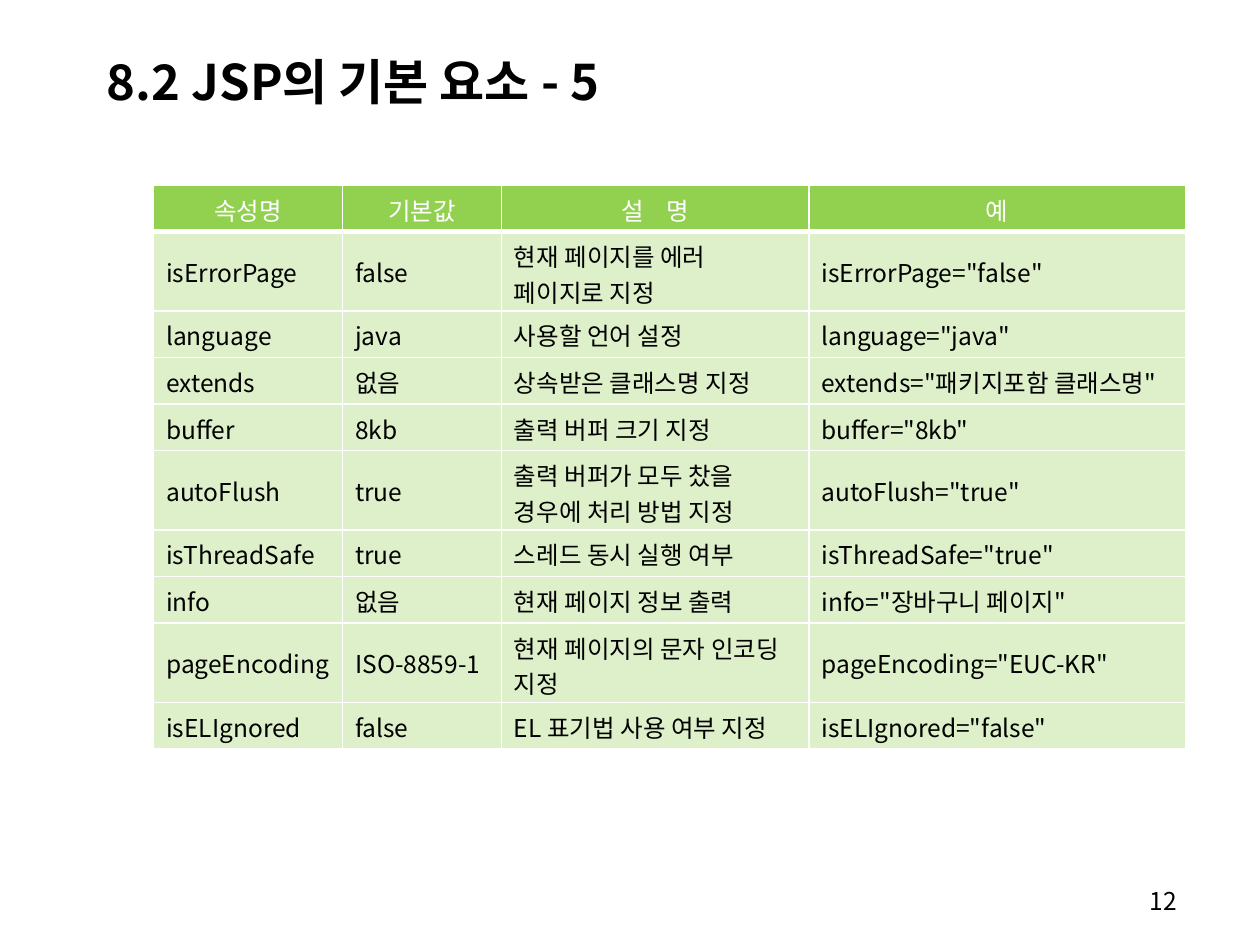
from dataclasses import dataclass

from pptx import Presentation
from pptx.dml.color import RGBColor
from pptx.enum.text import MSO_ANCHOR, PP_ALIGN
from pptx.oxml.ns import qn
from pptx.util import Pt
from lxml.etree import SubElement


@dataclass(frozen=True)
class Theme:
    font: str = "Noto Sans CJK KR"
    ink: str = "000000"
    paper: str = "FFFFFF"
    green: str = "92D050"
    tint: int = 30
    title: int = 28
    body: int = 14


THEME = Theme()
WIDTHS = [108, 90.7, 175.7, 215.3]
SHORT, TALL = 26.6, 45.4
TALLS = {1, 5, 8}
HANG = 7.2
ROWS = [
    ("속성명", "기본값", "설 명", "예"),
    ("isErrorPage", "false", "현재 페이지를 에러 페이지로 지정", 'isErrorPage="false"'),
    ("language", "java", "사용할 언어 설정", 'language="java"'),
    ("extends", "없음", "상속받은 클래스명 지정", 'extends="패키지포함 클래스명"'),
    ("buffer", "8kb", "출력 버퍼 크기 지정", 'buffer="8kb"'),
    ("autoFlush", "true", "출력 버퍼가 모두 찼을 경우에 처리 방법 지정", 'autoFlush="true"'),
    ("isThreadSafe", "true", "스레드 동시 실행 여부", 'isThreadSafe="true"'),
    ("info", "없음", "현재 페이지 정보 출력", 'info="장바구니 페이지"'),
    ("pageEncoding", "ISO-8859-1", "현재 페이지의 문자 인코딩 지정", 'pageEncoding="EUC-KR"'),
    ("isELIgnored", "false", "EL 표기법 사용 여부 지정", 'isELIgnored="false"'),
]


def add_run(para, text, size=THEME.body, color=THEME.ink, bold=False):
    run = para.add_run()
    run.text = text
    font = run.font
    font.name, font.size, font.bold = THEME.font, Pt(size), bold
    font.color.rgb = RGBColor.from_string(color)
    props = run._r.get_or_add_rPr()
    SubElement(props, qn("a:ea"), typeface=THEME.font)
    return props


def add_text(slide, text, box, anchor, align, **style):
    frame = slide.shapes.add_textbox(*map(Pt, box)).text_frame
    frame.word_wrap = True
    frame.vertical_anchor = anchor
    para = frame.paragraphs[0]
    para.alignment = align
    add_run(para, text, **style)


def add_edges(cell, base):
    props = cell._tc.get_or_add_tcPr()
    for side, width in zip("LRTB", (1, 1, 1, base)):
        line = SubElement(props, qn(f"a:ln{side}"), w=str(Pt(width)))
        fill = SubElement(line, qn("a:solidFill"))
        SubElement(fill, qn("a:srgbClr"), val=THEME.paper)


def fill_cell(cell, head):
    add_edges(cell, 3 if head else 1)
    cell.vertical_anchor = MSO_ANCHOR.MIDDLE
    cell.fill.solid()
    cell.fill.fore_color.rgb = RGBColor.from_string(THEME.green)
    if not head:
        color = cell._tc.tcPr.find(".//" + qn("a:solidFill") + "[last()]/..")
        color = cell._tc.tcPr.find(qn("a:solidFill")).find(qn("a:srgbClr"))
        SubElement(color, qn("a:alpha"), val=str(THEME.tint * 1000))


def add_head(para, text):
    para.alignment = PP_ALIGN.CENTER
    for part in filter(None, text.partition(" ")):
        props = add_run(para, part, color=THEME.paper)
        if part == " ":
            props.set("spc", "940")


def add_body(para, text, hang):
    if hang:
        props = para._p.get_or_add_pPr()
        props.set("marL", str(Pt(HANG)))
        props.set("indent", str(-Pt(HANG)))
    add_run(para, text)


def add_grid(slide):
    highs = [TALL if row in TALLS else SHORT for row in range(len(ROWS))]
    box = map(Pt, (87.8, 105.8, sum(WIDTHS), sum(highs)))
    table = slide.shapes.add_table(len(ROWS), len(WIDTHS), *box).table
    table.horz_banding = False
    for col, width in zip(table.columns, WIDTHS):
        col.width = Pt(width)
    for row, texts in enumerate(ROWS):
        table.rows[row].height = Pt(highs[row])
        for col, text in enumerate(texts):
            cell = table.cell(row, col)
            fill_cell(cell, row == 0)
            para = cell.text_frame.paragraphs[0]
            if row == 0:
                add_head(para, text)
            else:
                wraps = row in TALLS and col == 2
                add_body(para, text, col > 0 and not wraps)


def main():
    deck = Presentation()
    deck.slide_width, deck.slide_height = Pt(720), Pt(540)
    slide = deck.slides.add_slide(deck.slide_layouts[6])
    add_text(slide, "8.2 JSP의 기본 요소 - 5", (54, 9.4, 666, 73.4),
             MSO_ANCHOR.MIDDLE, PP_ALIGN.LEFT, size=THEME.title, bold=True)
    add_text(slide, "12", (530, 502.6, 149.7, 25.2),
             MSO_ANCHOR.TOP, PP_ALIGN.RIGHT)
    add_grid(slide)
    deck.save("out.pptx")


if __name__ == "__main__":
    main()
